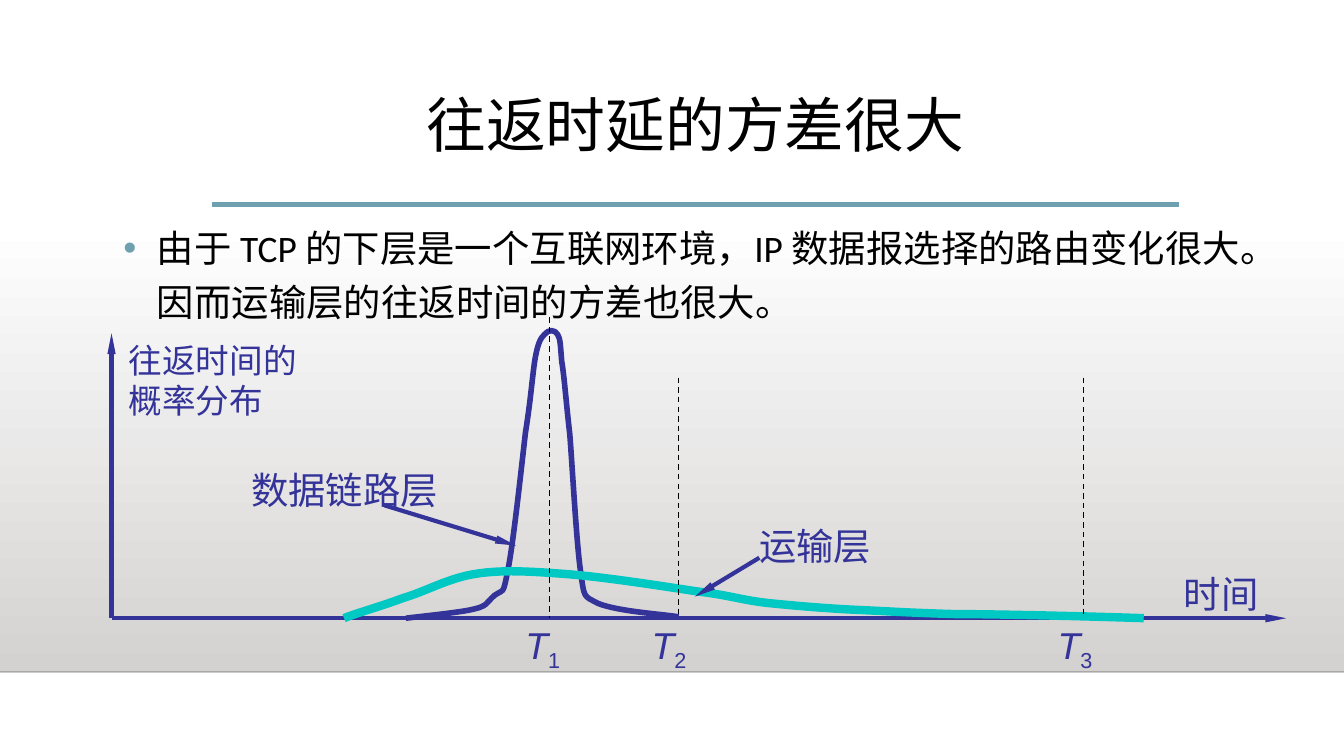
from pptx import Presentation
from pptx.dml.color import RGBColor
from pptx.enum.dml import MSO_LINE
from pptx.enum.shapes import MSO_CONNECTOR, MSO_SHAPE
from pptx.enum.text import MSO_ANCHOR, MSO_AUTO_SIZE, PP_ALIGN
from pptx.oxml import parse_xml
from pptx.oxml.ns import nsdecls, qn
from pptx.oxml.xmlchemy import OxmlElement as new_element
from pptx.util import Inches, Pt

COLORS = {"ink": "333399", "teal": "00C8C3", "accent": "6EA0B0", "black": "000000",
          "edge": "000001", "white": "FFFFFF", "floor": "D4D2D0"}
RGB = {name: RGBColor.from_string(value) for name, value in COLORS.items()}

# A 16:9 slide
prs = Presentation()
prs.slide_width = Inches(10)
prs.slide_height = Inches(10 * 9 / 16)
slide = prs.slides.add_slide(prs.slide_layouts[5])
shapes = slide.shapes


def add_line(x1, y1, x2, y2, color, width, arrow=False, dashed=False):
    line = shapes.add_connector(MSO_CONNECTOR.STRAIGHT, Inches(x1), Inches(y1),
                                Inches(x2), Inches(y2))
    line.line.color.rgb = RGB[color]
    line.line.width = Pt(width)
    if dashed:
        line.line.dash_style = MSO_LINE.DASH
    if arrow:
        line.line._get_or_add_ln().append(parse_xml(
            f'<a:tailEnd {nsdecls("a")} type="triangle" w="sm" len="lg"/>'))
    line._element.spPr.append(new_element("a:effectLst"))
    return line


def add_label(x, y, width, height, text, size):
    box = shapes.add_textbox(Inches(x), Inches(y), Inches(width), Inches(height))
    frame = box.text_frame
    frame.word_wrap = False
    frame.auto_size = MSO_AUTO_SIZE.SHAPE_TO_FIT_TEXT
    frame.text = text
    for paragraph in frame.paragraphs:
        for run in paragraph.runs:
            run.font.size = Pt(size)
            run.font.name = "Arial"
            run.font.color.rgb = RGB["ink"]
    return frame


# Shaded backdrop with its bottom edge
backdrop = shapes.add_shape(MSO_SHAPE.RECTANGLE, 0, Inches(1.65), Inches(10), Inches(3.35))
backdrop.shadow.inherit = False
backdrop.line.fill.background()
backdrop.fill.gradient()
backdrop.fill.gradient_angle = 270
for stop, color in zip(backdrop.fill.gradient_stops, ("white", "floor")):
    stop.color.rgb = RGB[color]

edge = add_line(0, 5, 10, 5, "edge", 1)
edge_color = next(edge._element.spPr.iter(qn("a:srgbClr")))
edge_color.append(parse_xml(f'<a:alpha {nsdecls("a")} val="20000"/>'))

# Title and rule
add_line(1.58, 1.52, 8.77, 1.52, "accent", 2.5)
title = shapes.title
title.left, title.top = Inches(1.58), Inches(0.66)
title.width, title.height = Inches(7.19), Inches(0.86)
title.text_frame.text = "往返时延的方差很大"
title.text_frame.auto_size = MSO_AUTO_SIZE.NONE
title.text_frame.vertical_anchor = MSO_ANCHOR.TOP
heading = title.text_frame.paragraphs[0]
heading.alignment = PP_ALIGN.CENTER
heading.line_spacing = 0.9
heading.runs[0].font.size = Pt(32)
heading.runs[0].font.name = "Calibri"
heading.runs[0].font.color.rgb = RGB["black"]

# Bulleted statement
statement = shapes.add_textbox(Inches(0.82), Inches(1.56), Inches(8.64), Inches(2.83))
statement.text_frame.word_wrap = True
point = statement.text_frame.paragraphs[0]
point.text = "由于 TCP 的下层是一个互联网环境，IP 数据报选择的路由变化很大。因而运输层的往返时间的方差也很大。"
point.line_spacing = 1.2
point.space_before = Pt(10)
point.runs[0].font.size = Pt(20)
point.runs[0].font.name = "Calibri"
point.runs[0].font.color.rgb = RGB["black"]
point_props = point._p.get_or_add_pPr()
point_props.set("marL", str(Inches(0.25)))
point_props.set("indent", str(-Inches(0.25)))
for bullet_part in (
    f'<a:buClr {nsdecls("a")}><a:srgbClr val="{COLORS["accent"]}"/></a:buClr>',
    f'<a:buFont {nsdecls("a")} typeface="Arial"/>',
    f'<a:buChar {nsdecls("a")} char="•"/>',
):
    point_props.append(parse_xml(bullet_part))

# Axes
add_line(0.83, 4.6, 9.57, 4.6, "ink", 2.25, arrow=True)
add_line(0.83, 4.6, 0.83, 2.48, "ink", 2.25, arrow=True)

# Distribution curves: Bezier points in hundredths of an inch,
# a start point and then two controls and an end point per segment
link_layer = [
    (302, 460),
    (310, 459), (339, 456), (349, 454), (364, 451), (361, 449), (368, 443),
    (375, 438), (374, 444), (378, 424), (382, 404), (388, 348), (391, 322),
    (395, 297), (396, 281), (398, 268), (400, 256), (402, 252), (405, 249),
    (408, 245), (413, 245), (415, 249), (417, 252), (417, 257), (418, 269),
    (420, 281), (421, 297), (424, 323), (426, 349), (429, 404), (432, 425),
    (435, 446), (434, 443), (445, 449), (460, 455), (493, 457), (505, 459),
]
transport_layer = [
    (256, 460),
    (263, 457), (284, 451), (300, 445), (317, 440), (334, 430), (354, 427),
    (373, 424), (392, 425), (419, 427), (447, 429), (492, 436), (518, 440),
    (544, 443), (553, 447), (574, 449), (594, 451), (618, 453), (641, 454),
    (664, 455), (676, 456), (711, 457), (746, 457), (822, 459), (851, 460),
]
for points, color, width in ((link_layer, "ink", 3), (transport_layer, "teal", 4.5)):
    builder = shapes.build_freeform(*points[0], scale=Inches(0.01))
    builder.add_line_segments(points[1:], close=False)
    curve = builder.convert_to_shape()
    curve.shadow.inherit = False
    curve.fill.background()
    curve.line.color.rgb = RGB[color]
    curve.line.width = Pt(width)
    # Join every three straight segments into one Bezier segment
    segments = list(curve._element.iter(qn("a:lnTo")))
    for i in range(0, len(segments), 3):
        bezier = new_element("a:cubicBezTo")
        segments[i].addprevious(bezier)
        for segment in segments[i:i + 3]:
            bezier.append(segment[0])
            segment.getparent().remove(segment)

# Dashed time marks with T1, T2, T3
for number, mark_x, mark_top, label_x in (
        ("1", 4.09, 2.36, 3.81), ("2", 5.05, 2.81, 4.75), ("3", 8.06, 2.81, 7.77)):
    add_line(mark_x, mark_top, mark_x, 4.6, "black", 0.75, dashed=True)
    symbol = add_label(label_x, 4.58, 0.48, 0.44, "T", 20).paragraphs[0]
    symbol.runs[0].font.italic = True
    subscript = symbol.add_run()
    subscript.text = number
    subscript.font.size = Pt(20)
    subscript.font.name = "Arial"
    subscript.font.color.rgb = RGB["ink"]
    subscript._r.get_or_add_rPr().set("baseline", "-25000")

# Axis and curve labels with pointers
add_label(8.71, 4.2, 0.76, 0.44, "时间", 20)
add_label(0.86, 2.48, 1.46, 0.71, "往返时间的\n概率分布", 18)
add_label(1.77, 3.43, 1.6, 0.44, "数据链路层", 20)
add_line(2.86, 3.76, 3.84, 4.06, "ink", 2.25, arrow=True)
add_label(5.55, 3.84, 1.04, 0.44, "运输层", 20)
add_line(5.65, 4.15, 5.17, 4.44, "ink", 2.25, arrow=True)

prs.save("out.pptx")
